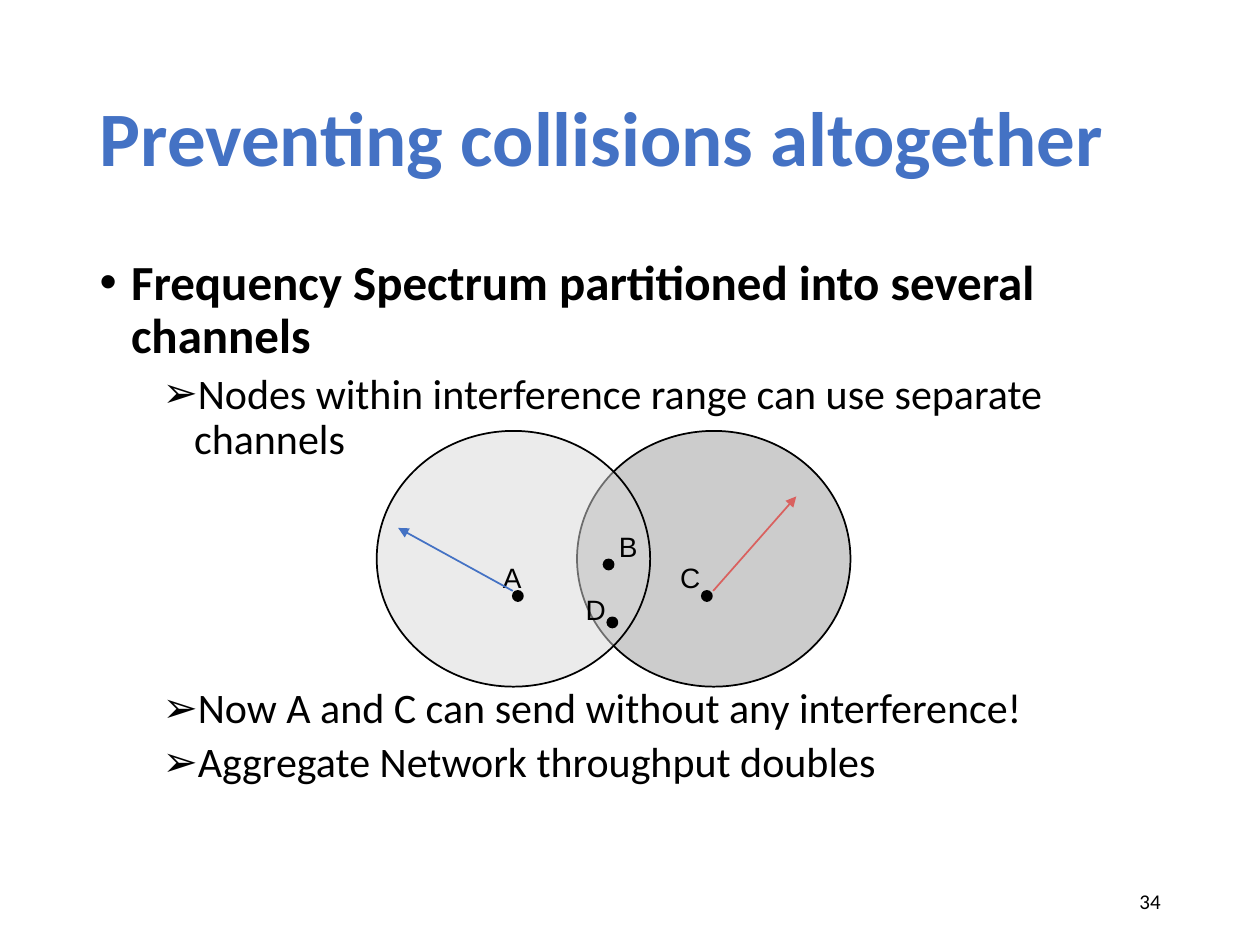
"""Build the slide on keeping wireless nodes apart by channel."""
import pptx
import pptx.dml.color
import pptx.enum.shapes
import pptx.enum.text
import pptx.oxml.ns
import pptx.util
from lxml import etree

Inches = pptx.util.Inches
Pt = pptx.util.Pt
Align = pptx.enum.text.PP_ALIGN
Anchor = pptx.enum.text.MSO_ANCHOR
Fit = pptx.enum.text.MSO_AUTO_SIZE
qn = pptx.oxml.ns.qn
BLACK, BLUE, RED = "000000", "4472C4", "D9615F"


def color(text):
    return pptx.dml.color.RGBColor.from_string(text)


class Deck:
    def __init__(self):
        self.prs = pptx.Presentation()
        self.prs.slide_width, self.prs.slide_height = Inches(10), Inches(7.5)
        self.slide = self.prs.slides.add_slide(self.prs.slide_layouts[1])
        self.group = self.slide.shapes.add_group_shape()

    def style(self, para, size, tone=BLACK, face="Calibri", bold=False):
        font = para.font
        font.size, font.name, font.bold = Pt(size), face, bold
        font.color.rgb = color(tone)

    def place(self, shape, box):
        shape.left, shape.top, shape.width, shape.height = map(Inches, box)

    def title(self, text, box):
        shape = self.slide.shapes.title
        self.place(shape, box)
        frame = shape.text_frame
        frame.text, frame.auto_size = text, Fit.NONE
        frame.vertical_anchor = Anchor.MIDDLE
        para = frame.paragraphs[0]
        para.alignment, para.line_spacing = Align.LEFT, 0.9
        self.style(para, 44, BLUE, bold=True)

    def body(self, items, box):
        shape = self.slide.placeholders[1]
        self.place(shape, box)
        frame = shape.text_frame
        frame.auto_size = Fit.NONE
        frame.text = "\n".join(text for text, level, gap in items)
        for para, (text, level, gap) in zip(frame.paragraphs, items):
            para.level, para.line_spacing = level, 0.9
            para.space_before = Pt(gap)
            prop = para._p.get_or_add_pPr()
            prop.set("marL", str(Inches(0.25 + 0.5 * level)))
            prop.set("indent", str(Inches(-0.25)))
            etree.SubElement(prop, qn("a:buFont")).set("typeface", "Arial")
            etree.SubElement(prop, qn("a:buChar")).set("char", "•➢"[level])
            self.style(para, 28 - 4 * level, bold=level == 0)

    def oval(self, box, fill, alpha=None):
        kind = pptx.enum.shapes.MSO_SHAPE.OVAL
        shape = self.group.shapes.add_shape(kind, *map(Inches, box))
        shape.shadow.inherit = False
        shape.fill.solid()
        shape.fill.fore_color.rgb = color(fill)
        shape.line.color.rgb, shape.line.width = color(BLACK), Pt(1)
        if alpha:
            tint = shape._element.spPr.find(qn("a:solidFill"))[0]
            etree.SubElement(tint, qn("a:alpha")).set("val", str(alpha * 1000))

    def label(self, text, box):
        shape = self.group.shapes.add_textbox(*map(Inches, box))
        frame = shape.text_frame
        frame.text, frame.word_wrap = text, False
        para = frame.paragraphs[0]
        para.alignment = Align.CENTER
        self.style(para, 16, face="Arial")

    def arrow(self, start, end, tone):
        kind = pptx.enum.shapes.MSO_CONNECTOR.STRAIGHT
        link = self.group.shapes.add_connector(kind, *map(Inches, start + end))
        link.line.color.rgb, link.line.width = color(tone), Pt(1)
        line = link.line._get_or_add_ln()
        etree.SubElement(line, qn("a:tailEnd")).set("type", "triangle")
        etree.SubElement(link._element.spPr, qn("a:effectLst"))

    def number(self, text, box):
        frame = self.slide.shapes.add_textbox(*map(Inches, box)).text_frame
        frame.text, frame.word_wrap = text, True
        frame.vertical_anchor = Anchor.MIDDLE
        para = frame.paragraphs[0]
        para.alignment = Align.RIGHT
        self.style(para, 12)


def main():
    deck = Deck()
    deck.title("Preventing collisions altogether", (0.69, 0.4, 8.62, 1.45))
    deck.body([
        ("Frequency Spectrum partitioned into several channels", 0, 0),
        ("Nodes within interference range can use separate channels", 1, 5),
        ("Now A and C can send without any interference!", 1, 128),
        ("Aggregate Network throughput doubles", 1, 5),
    ], (0.69, 2, 8.62, 4.76))
    deck.oval((4.58, 3.42, 2.17, 2.03), "CCCCCC")
    deck.oval((2.99, 3.42, 2.17, 2.03), "D9D9D9", 50)
    nodes = [
        ("A", (4.07, 4.69), (3.89, 4.4)),
        ("B", (4.79, 4.44), (4.81, 4.15)),
        ("C", (5.57, 4.69), (5.3, 4.4)),
        ("D", (4.82, 4.9), (4.55, 4.65)),
    ]
    for name, dot, spot in nodes:
        deck.oval(dot + (0.08, 0.08), BLACK)
        deck.label(name, spot + (0.35, 0.37))
    deck.arrow((5.66, 4.69), (6.32, 3.94), RED)
    deck.arrow((4.07, 4.69), (3.16, 4.19), BLUE)
    deck.number("34", (7.06, 6.95, 2.25, 0.4))
    deck.prs.save("out.pptx")


if __name__ == "__main__":
    main()
